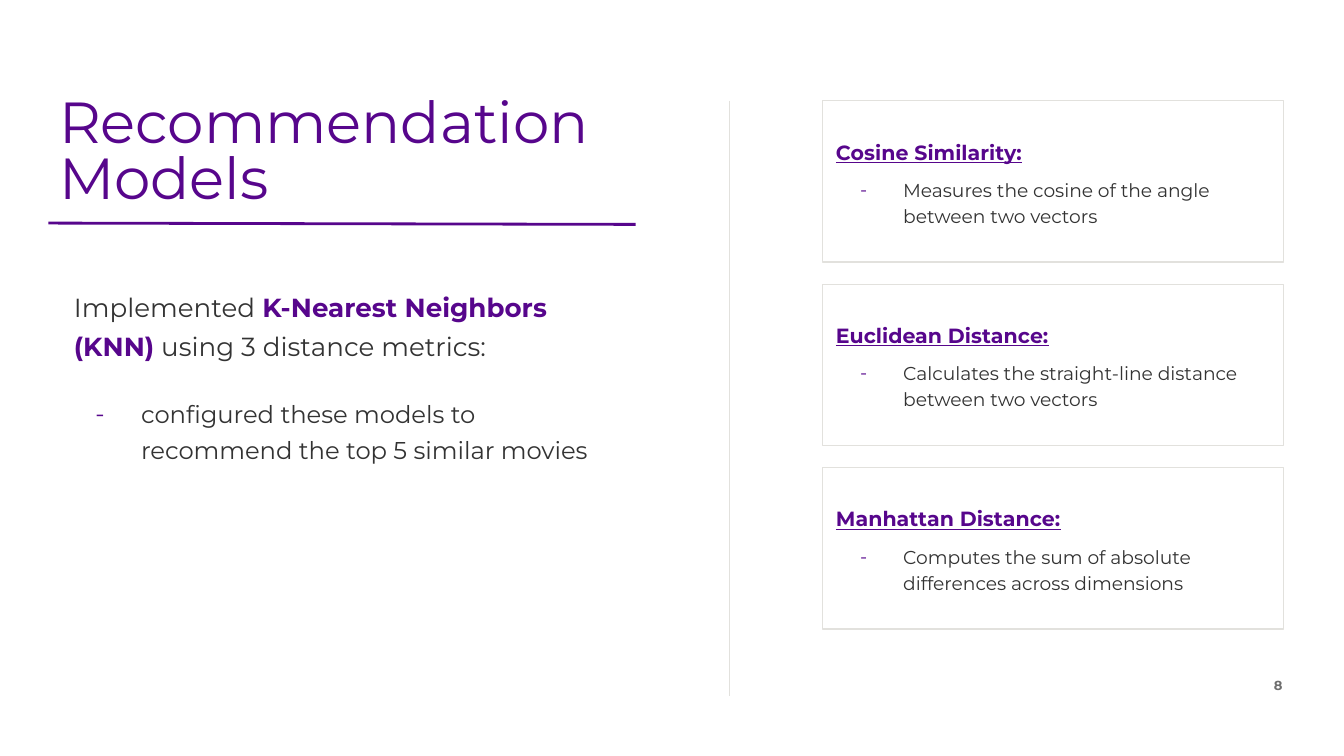
from dataclasses import dataclass

from lxml.etree import SubElement
from pptx import Presentation
from pptx.dml.color import RGBColor
from pptx.enum.shapes import MSO_CONNECTOR as Connector
from pptx.enum.text import MSO_ANCHOR as Anchor, MSO_AUTO_SIZE as AutoSize, PP_ALIGN as Align
from pptx.oxml.ns import qn
from pptx.util import Inches, Pt

FONT = "Montserrat"
PURPLE, INK, RULE, MUTED = "57068C", "333333", "E2E1DD", "6D6D6D"
WIDTH, HEIGHT = Inches(10), Inches(5.625)
CELL = WIDTH / 100
CARD_TOP, CARD_STEP = 7.5, 13.65


@dataclass(frozen=True)
class Area:
    """A region in grid cells, each a hundredth of the slide's width."""
    col: float
    row: float
    cols: float
    rows: float


@dataclass(frozen=True)
class Span:
    text: str
    color: str = INK
    bold: bool = False


@dataclass(frozen=True)
class Line:
    spans: tuple[Span, ...]
    size: float
    spacing: float
    before: float = 0
    after: float = 0
    hanging: float = 0
    underline: bool = False
    align: Align = Align.LEFT


@dataclass(frozen=True)
class Metric:
    name: str
    meaning: str


METRICS = (
    Metric("Cosine Similarity:", "Measures the cosine of the angle between two vectors"),
    Metric("Euclidean Distance:", "Calculates the straight-line distance between two vectors"),
    Metric("Manhattan Distance:", "Computes the sum of absolute differences across dimensions"),
)


def cells(count: float) -> int:
    return round(count * CELL)


def rgb(color: str) -> RGBColor:
    return RGBColor.from_string(color)


def set_bullet(paragraph, hanging: float) -> None:
    props = paragraph._p.get_or_add_pPr()
    props.set("marL", str(Inches(0.5) if hanging else 0))
    props.set("indent", str(-Inches(hanging)))
    if not hanging:
        SubElement(props, qn("a:buNone"))
        return
    tint = SubElement(props, qn("a:buClr"))
    SubElement(tint, qn("a:srgbClr"), val=PURPLE)
    SubElement(props, qn("a:buFont"), typeface=FONT)
    SubElement(props, qn("a:buChar"), char="-")


def write_line(paragraph, line: Line) -> None:
    set_bullet(paragraph, line.hanging)
    paragraph.alignment = line.align
    paragraph.line_spacing = line.spacing
    paragraph.space_before, paragraph.space_after = Pt(line.before), Pt(line.after)
    font = paragraph.font
    font.name, font.size, font.underline = FONT, Pt(line.size), line.underline
    for span in line.spans:
        run = paragraph.add_run()
        run.text = span.text
        styled = font if len(line.spans) == 1 else run.font
        styled.bold, styled.color.rgb = span.bold, rgb(span.color)


def write(shape, area: Area, lines: tuple[Line, ...], anchor: Anchor = Anchor.TOP) -> None:
    shape.left, shape.top = cells(area.col), cells(area.row)
    shape.width, shape.height = cells(area.cols), cells(area.rows)
    frame = shape.text_frame
    frame.word_wrap, frame.auto_size, frame.vertical_anchor = True, AutoSize.NONE, anchor
    frame.margin_left = frame.margin_right = frame.margin_top = frame.margin_bottom = cells(1)
    for index, line in enumerate(lines):
        write_line(frame.add_paragraph() if index else frame.paragraphs[0], line)


def write_card(shape, metric: Metric, position: int) -> None:
    area = Area(61.2, CARD_TOP + CARD_STEP * position, 34.3, 12)
    write(shape, area, (
        Line((Span(metric.name, PURPLE, True),), 11, 1.15, underline=True),
        Line((Span(metric.meaning),), 10, 1.15, before=6, hanging=0.32),
    ), Anchor.MIDDLE)
    shape.line.color.rgb, shape.line.width = rgb(RULE), Pt(0.75)


def draw_rule(slide, area: Area, color: str, weight: float) -> None:
    rule = slide.shapes.add_connector(
        Connector.STRAIGHT, cells(area.col), cells(area.row),
        cells(area.col + area.cols), cells(area.row + area.rows))
    rule.line.color.rgb, rule.line.width = rgb(color), Pt(weight)
    SubElement(rule._element.spPr, qn("a:effectLst"))


def main() -> None:
    """Build the recommendation models slide."""
    deck = Presentation()
    deck.slide_width, deck.slide_height = WIDTH, HEIGHT
    slide = deck.slides.add_slide(deck.slide_layouts.get_by_name("Comparison"))
    title, summary, *cards = slide.placeholders

    write(title, Area(3.4, 6.4, 46.6, 9.8),
          (Line((Span("Recommendation Models", PURPLE),), 31, 0.8),))
    write(summary, Area(4.5, 20.1, 41.6, 26.7), (
        Line((Span("Implemented "), Span("K-Nearest Neighbors (KNN)", PURPLE, True),
              Span(" using 3 distance metrics:")), 14, 1.25),
        Line((Span("configured these models to recommend the top 5 similar movies"),),
             13, 1.25, before=16, after=16, hanging=0.34),
    ))
    for position, (card, metric) in enumerate(zip(cards, METRICS)):
        write_card(card, metric, position)

    draw_rule(slide, Area(3.6, 16.6, 43.7, 0.1), PURPLE, 1.5)
    draw_rule(slide, Area(54.3, CARD_TOP, 0, 44.3), RULE, 0.75)
    page_number = slide.shapes.add_textbox(0, 0, 0, 0)
    write(page_number, Area(50.5, 49.4, 45.9, 3.4),
          (Line((Span("8", MUTED, True),), 7, 1, align=Align.RIGHT),))
    deck.save("out.pptx")


if __name__ == "__main__":
    main()
